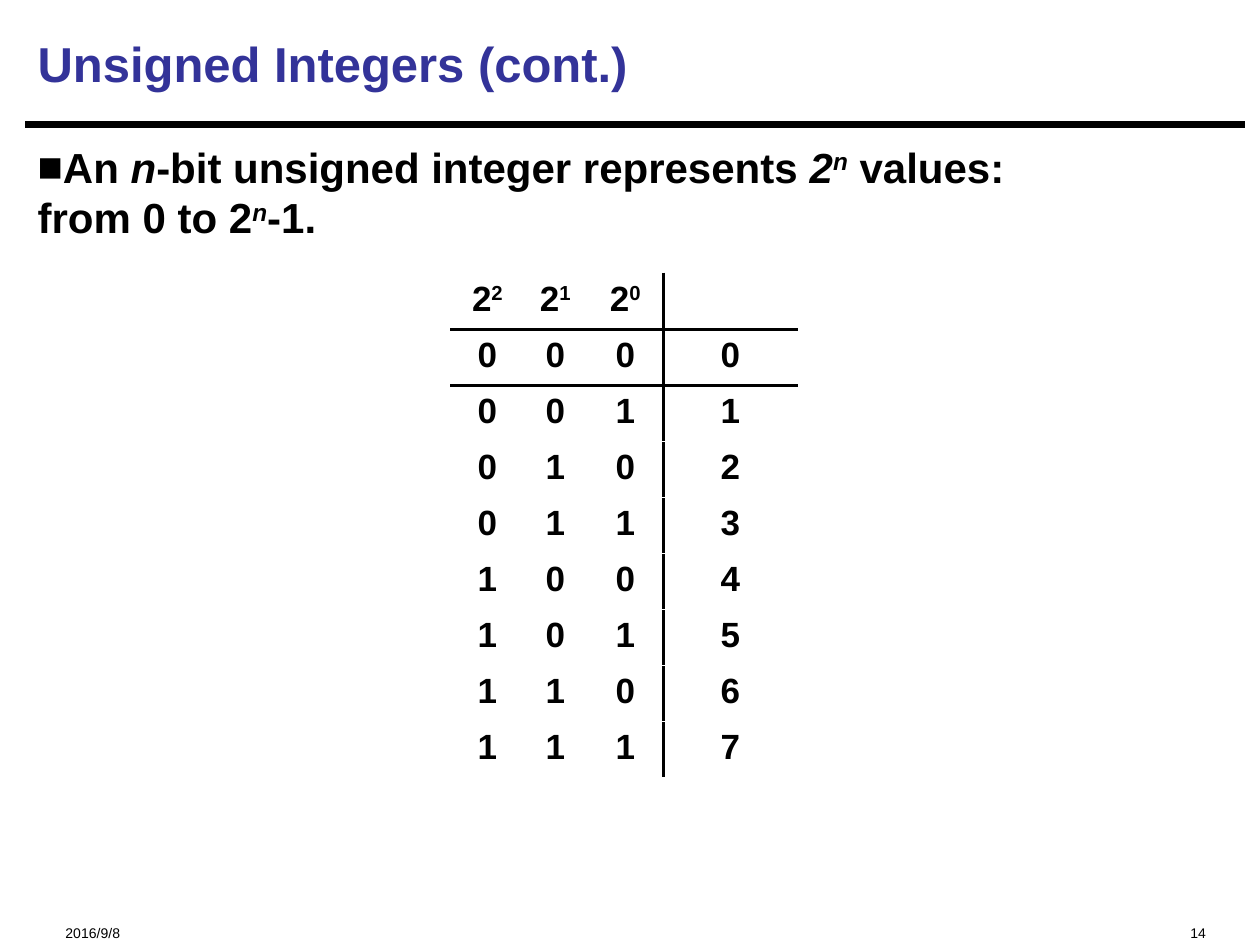
import pptx
import pptx.dml.color
import pptx.enum.shapes
import pptx.enum.text
import pptx.oxml
import pptx.oxml.ns
import pptx.util

Cm, Pt = pptx.util.Cm, pptx.util.Pt
Align = pptx.enum.text.PP_ALIGN
Anchor = pptx.enum.text.MSO_ANCHOR
BLACK = pptx.dml.color.RGBColor(0x00, 0x00, 0x00)
NAVY = pptx.dml.color.RGBColor(0x33, 0x33, 0x99)
NS = pptx.oxml.ns.nsdecls("a")
SUP = {"sup": True}
ITALIC = {"italic": True}


class SlideBuilder:
    """Draw styled elements on the current slide."""

    def __init__(self, slide, font="Arial"):
        self.slide = slide
        self.font = font

    def add_runs(self, p, runs, size, color=BLACK, bold=True, align=Align.LEFT):
        p.alignment = align
        for text, fmt in runs:
            if text == "\n":
                p.add_line_break()
                continue
            r = p.add_run()
            r.text = text
            style = {"name": self.font, "size": Pt(size), "bold": bold, **fmt}
            raised = style.pop("sup", False)
            for key, value in style.items():
                setattr(r.font, key, value)
            r.font.color.rgb = color
            if raised:
                r._r.get_or_add_rPr().set("baseline", "30000")

    def text(self, box, runs, size, anchor=Anchor.TOP, top=0.13, **fmt):
        sp = self.slide.shapes.add_textbox(*map(Cm, box))
        tf = sp.text_frame
        frame = {"word_wrap": True, "vertical_anchor": anchor, "margin_top": Cm(top)}
        for key, value in frame.items():
            setattr(tf, key, value)
        p = tf.paragraphs[0]
        self.add_runs(p, runs, size, **fmt)
        return p

    def bullet(self, p, char):
        p.space_before = Pt(2)
        pPr = p._p.get_or_add_pPr()
        pPr.set("marL", "0")
        pPr.set("indent", "0")
        for xml in (f'<a:buFont {NS} typeface="{self.font}"/>', f'<a:buChar {NS} char="{char}"/>'):
            pPr.append(pptx.oxml.parse_xml(xml))

    def line(self, x1, y1, x2, y2, width):
        kind = pptx.enum.shapes.MSO_CONNECTOR.STRAIGHT
        cn = self.slide.shapes.add_connector(kind, Cm(x1), Cm(y1), Cm(x2), Cm(y2))
        cn.line.color.rgb = BLACK
        cn.line.width = Pt(width)
        cn._element.spPr.append(pptx.oxml.parse_xml(f"<a:effectLst {NS}/>"))

    def borders(self, cell, sides, width=2.25):
        tcPr = cell._tc.get_or_add_tcPr()
        for i, side in enumerate(s for s in "LRTB" if s in sides):
            tcPr.insert(i, pptx.oxml.parse_xml(
                f'<a:ln{side} {NS} w="{Pt(width)}"><a:solidFill>'
                f'<a:srgbClr val="{BLACK}"/></a:solidFill></a:ln{side}>'))

    def table(self, left, top, widths, row_height, rows, size):
        frame = self.slide.shapes.add_table(
            len(rows), len(widths), Cm(left), Cm(top),
            Cm(sum(widths)), Cm(row_height * len(rows)))
        tbl = frame.table
        tbl.first_row = tbl.horz_banding = False
        for column, width in zip(tbl.columns, widths):
            column.width = Cm(width)
        last = len(widths) - 1
        for i, row in enumerate(rows):
            tbl.rows[i].height = Cm(row_height)
            for j, runs in enumerate(row):
                cell = tbl.cell(i, j)
                cell.fill.background()
                self.add_runs(cell.text_frame.paragraphs[0], runs, size, align=Align.CENTER)
                vertical = {last - 1: "R", last: "L"}.get(j, "")
                self.borders(cell, vertical + {0: "B", 1: "T"}.get(i, ""))


prs = pptx.Presentation()
prs.slide_width, prs.slide_height = Cm(25.4), Cm(19.05)
s = SlideBuilder(prs.slides.add_slide(prs.slide_layouts[6]))

s.line(0.51, 2.51, 25.1, 2.51, 3.75)
footer = {"size": 8, "bold": False, "top": 0.48}
s.text((1.07, 18.16, 6.35, 0.69), [("2016/9/8", {})], **footer)
s.text((16.94, 18.16, 7.62, 0.69), [("14", {})], align=Align.RIGHT, **footer)
s.text((0.51, 0.2, 24.56, 2.13), [("Unsigned Integers (cont.)", {})], 28,
       anchor=Anchor.MIDDLE, color=NAVY)

body = [
    ("An ", {}), ("n", ITALIC), ("-bit unsigned integer represents ", {}),
    ("2", ITALIC), ("n", {**ITALIC, **SUP}), (" values:", {}), ("\n", {}),
    ("from 0 to 2", {}), ("n", {**ITALIC, **SUP}), ("-1.", {}),
]
s.bullet(s.text((0.51, 2.72, 24.56, 15.21), body, 24), "■")

BITS = 3
header = [[("2", {}), (str(k), SUP)] for k in reversed(range(BITS))] + [[]]
values = [[[(c, {})] for c in (*f"{n:0{BITS}b}", str(n))] for n in range(2 ** BITS)]
s.table(9.09, 5.51, (1.47, 1.27, 1.55, 2.69), 1.13, [header] + values, 20)

prs.save("out.pptx")
